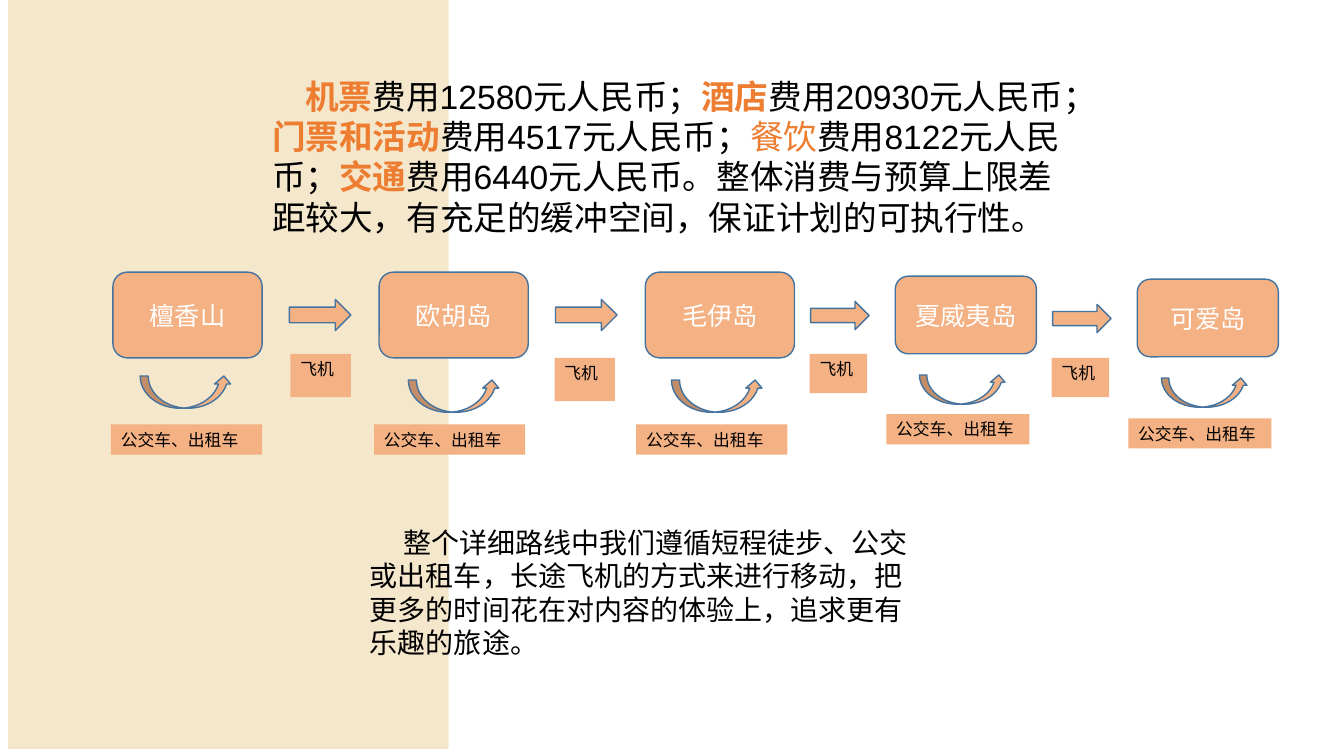
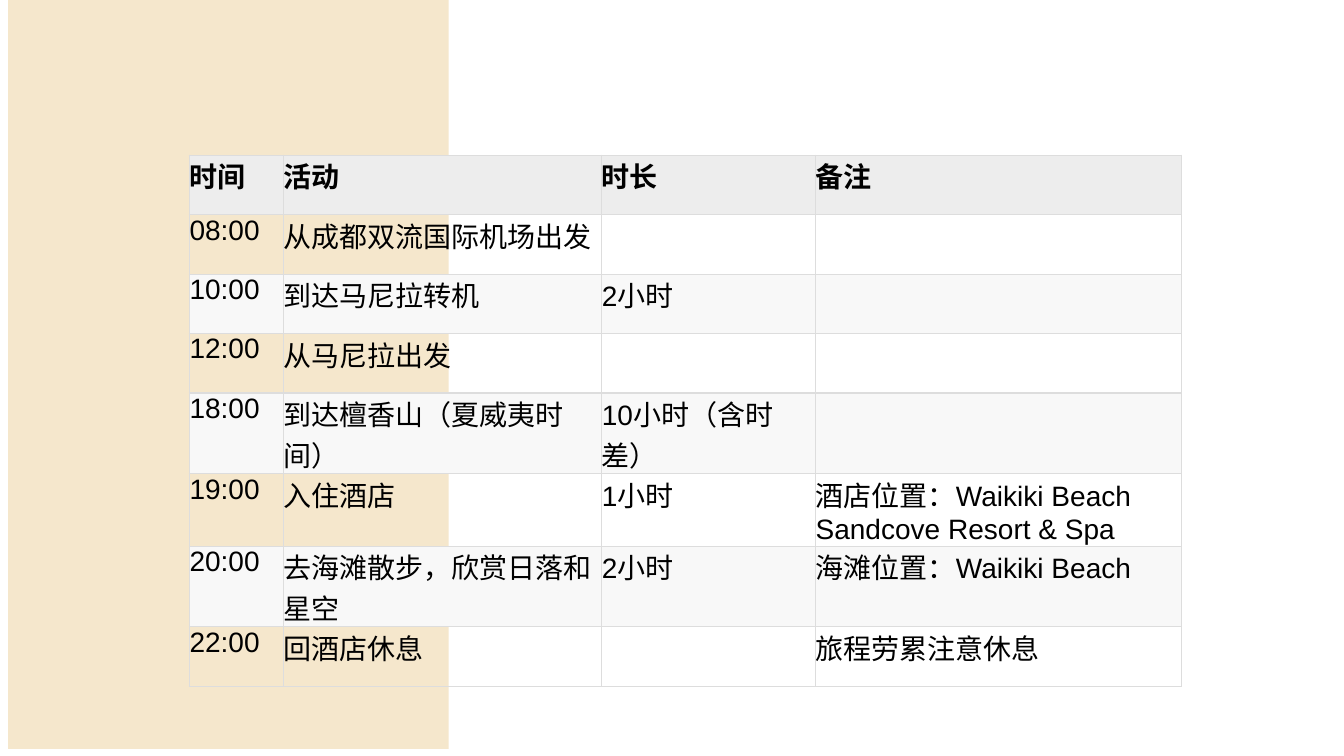
import pptx
import pptx.util
import pptx.dml.color
import pptx.enum.shapes
import pptx.enum.text
import pptx.oxml.ns
from lxml import etree

PX = 9144  # EMU; 100 px to the inch
COLORS = {
    "band": "F5E7CC", "accent": "ED7D31", "box": "F4B183", "outline": "43739E",
    "text": "000000", "white": "FFFFFF",
    "header": "EDEDED", "stripe": "F8F8F8", "grid": "DDDDDD",
}
SHAPE = pptx.enum.shapes.MSO_SHAPE
BAND = (8, 0, 437, 743)
INDENT = 33

# Text, followed by its format where it differs from the plain one
KEY = {"color": "accent", "bold": True}
COSTS = [
    ("机票", KEY), ("费用12580元人民币；", {}),
    ("酒店", KEY), ("费用20930元人民币；", {}),
    ("门票和活动", KEY), ("费用4517元人民币；", {}),
    ("餐饮", {"color": "accent"}), ("费用8122元人民币；", {}),
    ("交通", KEY),
    ("费用6440元人民币。整体消费与预算上限差距较大，有充足的缓冲空间，"
     "保证计划的可执行性。", {}),
]
ROUTE_NOTE = [
    ("整个详细路线中我们遵循短程徒步、公交或出租车，长途飞机的方式来进行移动，"
     "把更多的时间花在对内容的体验上，追求更有乐趣的旅途。", {}),
]
PARAGRAPHS = [
    (COSTS, (260, 70, 821, 172), {"size": 24, "name": "Arial"}),
    (ROUTE_NOTE, (357, 516, 556, 145), {"size": 20, "name": "Calibri"}),
]

LOCAL, FLIGHT = "公交车、出租车", "飞机"
SIZES = {
    "large": {"island": (148, 85), "loop": (91, 32), "local": (150, 30),
              "arrow": (61, 31), "flight": (60, 43)},
    "small": {"island": (140, 77), "loop": (86, 29), "local": (142, 30),
              "arrow": (58, 28), "flight": (57, 39)},
}
# Name, size, then the corners of the island, loop arrow and local label
STOPS = [
    ("檀香山", "large", (112, 270), (139, 373), (110, 421)),
    ("欧胡岛", "large", (376, 270), (405, 377), (371, 421)),
    ("毛伊岛", "large", (640, 270), (666, 377), (631, 421)),
    ("夏威夷岛", "small", (888, 274), (912, 372), (879, 411)),
    ("可爱岛", "small", (1128, 277), (1152, 375), (1119, 415)),
]
# Size, then the corners of the arrow and flight label
LEGS = [
    ("large", (287, 297), (288, 351)),
    ("large", (551, 297), (550, 355)),
    ("small", (804, 299), (803, 351)),
    ("small", (1044, 302), (1043, 355)),
]

TABLE_AT = (188, 154)
COLUMNS = [93, 316, 212, 363]
# Row height, then its cells
SCHEDULE = [
    (59, ("时间", "活动", "时长", "备注")),
    (59, ("08:00", "从成都双流国际机场出发", "", "")),
    (59, ("10:00", "到达马尼拉转机", "2小时", "")),
    (59, ("12:00", "从马尼拉出发", "", "")),
    (80, ("18:00", "到达檀香山（夏威夷时间）", "10小时（含时差）", "")),
    (72, ("19:00", "入住酒店", "1小时",
          "酒店位置：Waikiki Beach Sandcove Resort & Spa")),
    (80, ("20:00", "去海滩散步，欣赏日落和星空", "2小时",
          "海滩位置：Waikiki Beach")),
    (59, ("22:00", "回酒店休息", "", "旅程劳累注意休息")),
]


def emu(*lengths):
    return [pptx.util.Emu(n * PX) for n in lengths]


def rgb(name):
    return pptx.dml.color.RGBColor.from_string(COLORS[name])


def set_font(font, size, name="Calibri", color="text", bold=False):
    values = {"size": pptx.util.Pt(size), "name": name, "bold": bold}
    for attribute, value in values.items():
        setattr(font, attribute, value)
    font.color.rgb = rgb(color)


def add_box(s, kind, at, fill="box", outline=None):
    sp = s.shapes.add_shape(kind, *emu(*at))
    sp.shadow.inherit = False
    sp.fill.solid()
    sp.fill.fore_color.rgb = rgb(fill)
    if outline:
        sp.line.color.rgb = rgb(outline)
        sp.line.width = pptx.util.Pt(1)
    else:
        sp.line.fill.background()
    return sp


def write(sp, text, align, anchor, **font):
    tf = sp.text_frame
    tf.word_wrap = True
    tf.vertical_anchor = anchor
    p = tf.paragraphs[0]
    p.alignment = align
    r = p.add_run()
    r.text = text
    set_font(r.font, **font)


def add_label(s, text, at):
    write(add_box(s, SHAPE.RECTANGLE, at), text, pptx.enum.text.PP_ALIGN.LEFT,
          pptx.enum.text.MSO_ANCHOR.TOP, size=12)


def add_paragraph_box(s, runs, at, font):
    tf = s.shapes.add_textbox(*emu(*at)).text_frame
    tf.word_wrap = True
    p = tf.paragraphs[0]
    pPr = p._p.get_or_add_pPr()
    pPr.set("marL", "0")
    pPr.set("indent", str(INDENT * PX))
    for text, changes in runs:
        r = p.add_run()
        r.text = text
        set_font(r.font, **font, **changes)


def add_slide(prs):
    s = prs.slides.add_slide(prs.slide_layouts[6])
    add_box(s, SHAPE.RECTANGLE, BAND, "band")
    return s


def build_route(prs):
    s = add_slide(prs)
    for paragraph in PARAGRAPHS:
        add_paragraph_box(s, *paragraph)
    for name, size, island, loop, local in STOPS:
        sizes = SIZES[size]
        sp = add_box(s, SHAPE.ROUNDED_RECTANGLE, island + sizes["island"],
                     outline="outline")
        write(sp, name, pptx.enum.text.PP_ALIGN.CENTER,
              pptx.enum.text.MSO_ANCHOR.MIDDLE, size=18, color="white")
        add_box(s, SHAPE.CURVED_UP_ARROW, loop + sizes["loop"], outline="outline")
        add_label(s, LOCAL, local + sizes["local"])
    for size, arrow, flight in LEGS:
        sizes = SIZES[size]
        add_box(s, SHAPE.RIGHT_ARROW, arrow + sizes["arrow"], outline="outline")
        add_label(s, FLIGHT, flight + sizes["flight"])


def add_borders(cell):
    tcPr = cell._tc.get_or_add_tcPr()
    for side in ("a:lnL", "a:lnR", "a:lnT", "a:lnB"):
        ln = etree.SubElement(tcPr, pptx.oxml.ns.qn(side), w="12700")
        fill = etree.SubElement(ln, pptx.oxml.ns.qn("a:solidFill"))
        etree.SubElement(fill, pptx.oxml.ns.qn("a:srgbClr"), val=COLORS["grid"])


def build_schedule(prs):
    s = add_slide(prs)
    size = (sum(COLUMNS), sum(height for height, _ in SCHEDULE))
    table = s.shapes.add_table(len(SCHEDULE), len(COLUMNS),
                               *emu(*TABLE_AT, *size)).table
    for column, width in zip(table.columns, emu(*COLUMNS)):
        column.width = width
    for i, (height, row) in enumerate(SCHEDULE):
        table.rows[i].height = emu(height)[0]
        for j, text in enumerate(row):
            cell = table.cell(i, j)
            for side in ("left", "right", "top", "bottom"):
                setattr(cell, "margin_" + side, 0)
            add_borders(cell)
            if i % 2:
                cell.fill.background()
            else:
                cell.fill.solid()
                cell.fill.fore_color.rgb = rgb("stripe" if i else "header")
            if text:
                r = cell.text_frame.paragraphs[0].add_run()
                r.text = text
                set_font(r.font, size=20, name="Arial", bold=i == 0)


def main():
    prs = pptx.Presentation()
    prs.slide_width, prs.slide_height = emu(1333, 750)
    build_route(prs)
    build_schedule(prs)
    prs.save("out.pptx")


if __name__ == "__main__":
    main()
